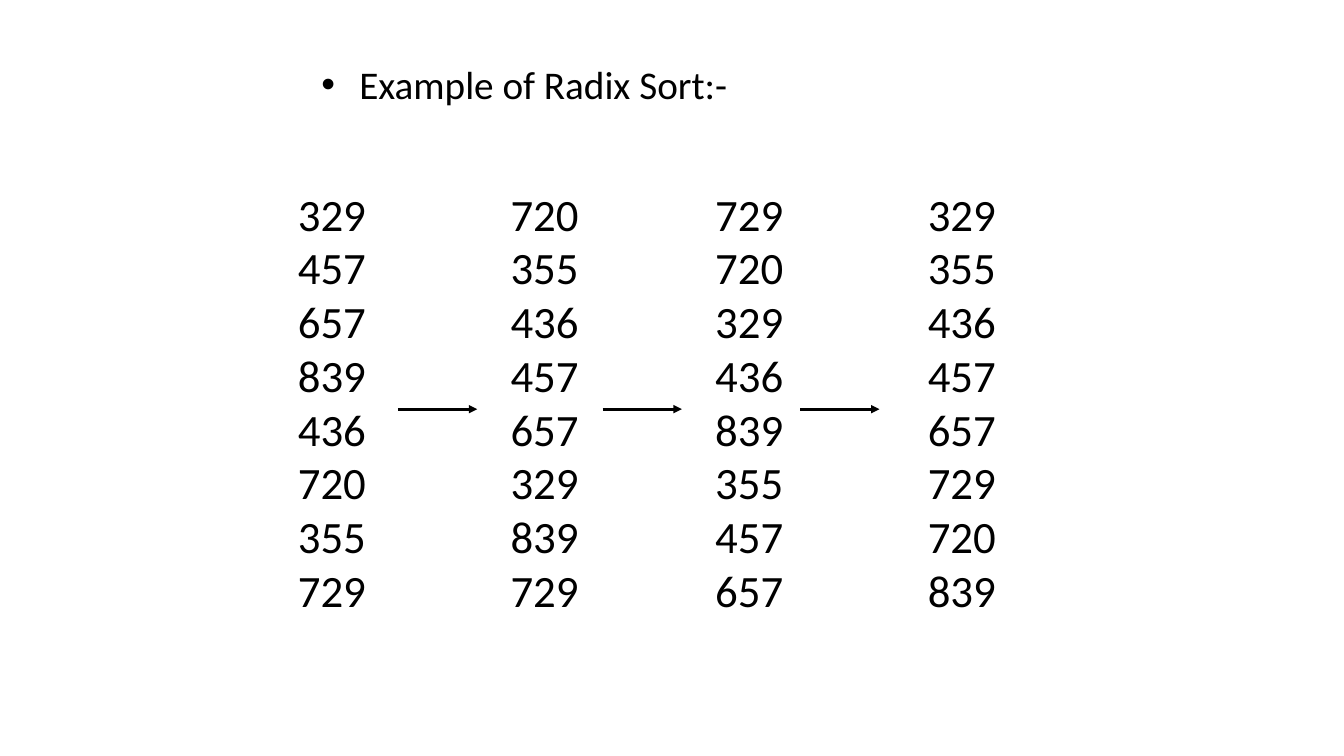
"""Build a slide showing the passes of a radix sort."""
from lxml import etree
from pptx import Presentation
from pptx import util as u
from pptx.dml.color import RGBColor
from pptx.enum import shapes, text
from pptx.oxml.ns import qn

HEADING = "Example of Radix Sort:-"
PASSES = [
    {"left": 7.26, "width": 3.58, "numbers": [329, 457, 657, 839, 436, 720, 355, 729]},
    {"left": 12.62, "width": 2.77, "numbers": [720, 355, 436, 457, 657, 329, 839, 729]},
    {"left": 17.78, "width": 2.39, "numbers": [729, 720, 329, 436, 839, 355, 457, 657]},
    {"left": 23.14, "width": 2.97, "numbers": [329, 355, 436, 457, 657, 729, 720, 839]},
]
ARROW_STARTS = [10.03, 15.19, 20.17]
ARROW_LENGTH, ARROW_Y = 2.0, 10.31
PASS_TOP, LINE_HEIGHT, PADDING = 4.57, 1.355, 0.26
BULLET_INDENT = u.Cm(0.96)
FONT = "Calibri"
BLACK = RGBColor(0, 0, 0)


def add_lines(slide, lines, left, top, width, height, size):
    box = slide.shapes.add_textbox(u.Cm(left), u.Cm(top), u.Cm(width), u.Cm(height))
    frame = box.text_frame
    frame.word_wrap = True
    frame.vertical_anchor = text.MSO_ANCHOR.TOP
    frame.text = "\n".join(map(str, lines))
    for line in frame.paragraphs:
        line.font.name = FONT
        line.font.size = u.Pt(size)
        line.font.color.rgb = BLACK
    return frame


def add_bullet(paragraph):
    properties = paragraph._p.get_or_add_pPr()
    properties.set("marL", str(BULLET_INDENT))
    properties.set("indent", str(-BULLET_INDENT))
    bullet_font = etree.Element(qn("a:buFont"), typeface="Arial")
    bullet = etree.Element(qn("a:buChar"), char="•")
    properties.insert(0, bullet_font)
    properties.insert(1, bullet)


def add_arrow(slide, start):
    arrow = slide.shapes.add_connector(
        shapes.MSO_CONNECTOR.STRAIGHT,
        u.Cm(start), u.Cm(ARROW_Y), u.Cm(start + ARROW_LENGTH), u.Cm(ARROW_Y))
    arrow.line.color.rgb = BLACK
    arrow.line.width = u.Pt(2)
    etree.SubElement(arrow.line._get_or_add_ln(), qn("a:tailEnd"), type="triangle")
    etree.SubElement(arrow._element.spPr, qn("a:effectLst"))


def main():
    deck = Presentation()
    deck.slide_width, deck.slide_height = u.Cm(33.88), u.Cm(19.05)
    slide = deck.slides.add_slide(deck.slide_layouts[6])

    heading = add_lines(slide, [HEADING], 7.85, 1.4, 13.28, 1.6, 28)
    add_bullet(heading.paragraphs[0])

    for sort_pass in PASSES:
        numbers = sort_pass["numbers"]
        height = len(numbers) * LINE_HEIGHT + PADDING
        add_lines(slide, numbers, sort_pass["left"], PASS_TOP,
                  sort_pass["width"], height, 32)

    for start in ARROW_STARTS:
        add_arrow(slide, start)

    deck.save("out.pptx")


if __name__ == "__main__":
    main()
